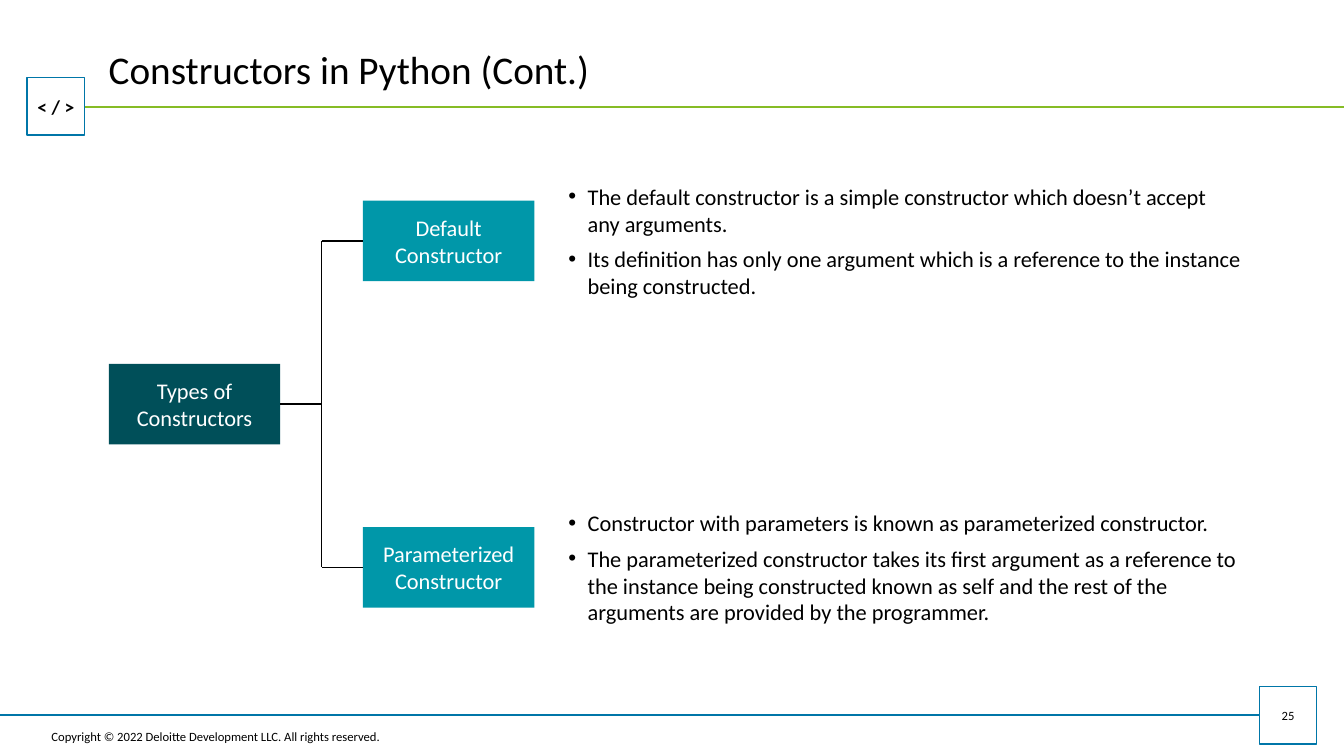
from dataclasses import dataclass

import pptx
import pptx.dml.color
import pptx.enum.shapes
import pptx.enum.text
import pptx.oxml
import pptx.oxml.ns
import pptx.util
from pptx.util import Inches

ALIGN = pptx.enum.text.PP_ALIGN
MIDDLE = pptx.enum.text.MSO_ANCHOR.MIDDLE


@dataclass(frozen=True)
class Theme:
    font: str = "Calibri"
    black: str = "000000"
    white: str = "FFFFFF"
    blue: str = "0076A8"
    green: str = "86BC25"
    root: str = "004F59"
    branch: str = "0097A9"
    title_size: int = 28
    body_size: int = 16
    icon_size: int = 14
    small_size: int = 9


THEME = Theme()
BADGE_SIDE = 0.57
NODE_WIDTH, NODE_HEIGHT = 1.7, 0.8
ROOT_LEFT, TRUNK_X, BRANCH_LEFT = 1.08, 3.19, 3.6
ROOT_Y = 4.01
NOTES_LEFT, NOTES_WIDTH, NOTES_HEIGHT = 5.54, 7.06, 1.26
BRANCHES = [
    (2.39, "Default Constructor", [
        "The default constructor is a simple constructor which doesn’t accept\nany arguments.",
        "Its definition has only one argument which is a reference to the instance "
        "being constructed.",
    ]),
    (5.63, "Parameterized Constructor", [
        "Constructor with parameters is known as parameterized constructor.",
        "The parameterized constructor takes its first argument as a reference to the "
        "instance being constructed known as self and the rest of the arguments are "
        "provided by the programmer.",
    ]),
]


def rgb(color):
    return pptx.dml.color.RGBColor.from_string(color)


def write(paragraph, text, size, color=THEME.black, bold=False, align=ALIGN.LEFT):
    """Fill a paragraph with runs, breaking the line at each newline."""
    paragraph.alignment = align
    for index, line in enumerate(text.split("\n")):
        if index:
            paragraph.add_line_break()
        run = paragraph.add_run()
        run.text = line
        run.font.name = THEME.font
        run.font.size = pptx.util.Pt(size)
        run.font.bold = bold
        run.font.color.rgb = rgb(color)


def add_text_box(slide, left, top, width, height, inset=0.1):
    box = slide.shapes.add_textbox(*map(Inches, (left, top, width, height)))
    frame = box.text_frame
    frame.word_wrap = True
    frame.vertical_anchor = MIDDLE
    frame.margin_left = frame.margin_right = Inches(inset)
    frame.margin_top = frame.margin_bottom = Inches(inset / 2)
    return frame


def add_rectangle(slide, left, top, width, height, fill, line=None):
    shape = slide.shapes.add_shape(
        pptx.enum.shapes.MSO_SHAPE.RECTANGLE,
        *map(Inches, (left, top, width, height)))
    shape.shadow.inherit = False
    shape.fill.solid()
    shape.fill.fore_color.rgb = rgb(fill)
    if line:
        shape.line.color.rgb = rgb(line)
        shape.line.width = pptx.util.Pt(1)
    else:
        shape.line.fill.background()
    shape.text_frame.word_wrap = True
    shape.text_frame.vertical_anchor = MIDDLE
    return shape


def add_badge(slide, left, top, text, size, bold=False):
    badge = add_rectangle(slide, left, top, BADGE_SIDE, BADGE_SIDE, THEME.white, THEME.blue)
    badge.text_frame.margin_left = badge.text_frame.margin_right = 0
    write(badge.text_frame.paragraphs[0], text, size, bold=bold, align=ALIGN.CENTER)


def add_node(slide, left, center_y, text, fill):
    node = add_rectangle(slide, left, center_y - NODE_HEIGHT / 2, NODE_WIDTH, NODE_HEIGHT, fill)
    write(node.text_frame.paragraphs[0], text, THEME.body_size, THEME.white, align=ALIGN.CENTER)
    return node


def add_line(slide, start, end, color=THEME.black, width=1.25):
    line = slide.shapes.add_connector(
        pptx.enum.shapes.MSO_CONNECTOR.STRAIGHT, *map(Inches, (*start, *end)))
    line.line.color.rgb = rgb(color)
    line.line.width = pptx.util.Pt(width)
    line._element.spPr.append(pptx.oxml.parse_xml(
        f"<a:effectLst {pptx.oxml.ns.nsdecls('a')}/>"))
    return line


def add_bullets(slide, center_y, items):
    frame = add_text_box(
        slide, NOTES_LEFT, center_y - NOTES_HEIGHT / 2, NOTES_WIDTH, NOTES_HEIGHT)
    for index, item in enumerate(items):
        paragraph = frame.add_paragraph() if index else frame.paragraphs[0]
        properties = paragraph._p.get_or_add_pPr()
        properties.set("marL", str(Inches(0.19)))
        properties.set("indent", str(Inches(-0.19)))
        for tag, attribute in (("buFont", 'typeface="Arial"'), ("buChar", 'char="•"')):
            properties.append(pptx.oxml.parse_xml(
                f"<a:{tag} {pptx.oxml.ns.nsdecls('a')} {attribute}/>"))
        if index:
            paragraph.space_before = pptx.util.Pt(6)
        write(paragraph, item, THEME.body_size)


def add_frame(slide):
    """Draw the title, header and footer."""
    add_line(slide, (0.76, 1.06), (13.33, 1.06), THEME.green, 1)
    add_badge(slide, 0.27, 0.77, "< / >", THEME.icon_size, bold=True)
    add_line(slide, (0, 7.09), (12.49, 7.09), THEME.blue, 1.5)
    add_badge(slide, 12.49, 6.81, "25", THEME.small_size)
    copyright_line = add_text_box(slide, 0.51, 7.25, 3.88, 0.11, inset=0)
    write(copyright_line.paragraphs[0],
          "Copyright © 2022 Deloitte Development LLC. All rights reserved.", THEME.small_size)
    title = add_text_box(slide, 0.98, 0.3, 11.28, 0.76)
    write(title.paragraphs[0], "Constructors in Python (Cont.)", THEME.title_size)


def add_tree(slide):
    root = add_node(slide, ROOT_LEFT, ROOT_Y, "Types of Constructors", THEME.root)
    stem = add_line(slide, (ROOT_LEFT + NODE_WIDTH, ROOT_Y), (TRUNK_X, ROOT_Y))
    stem.begin_connect(root, 3)
    add_line(slide, (TRUNK_X, BRANCHES[0][0]), (TRUNK_X, BRANCHES[-1][0]))
    for center_y, label, notes in BRANCHES:
        node = add_node(slide, BRANCH_LEFT, center_y, label, THEME.branch)
        twig = add_line(slide, (TRUNK_X, center_y), (BRANCH_LEFT, center_y))
        twig.end_connect(node, 1)
        add_bullets(slide, center_y, notes)


def main():
    presentation = pptx.Presentation()
    presentation.slide_width = Inches(13.33)
    presentation.slide_height = Inches(7.5)
    slide = presentation.slides.add_slide(presentation.slide_layouts[6])
    add_frame(slide)
    add_tree(slide)
    presentation.save("out.pptx")


if __name__ == "__main__":
    main()
